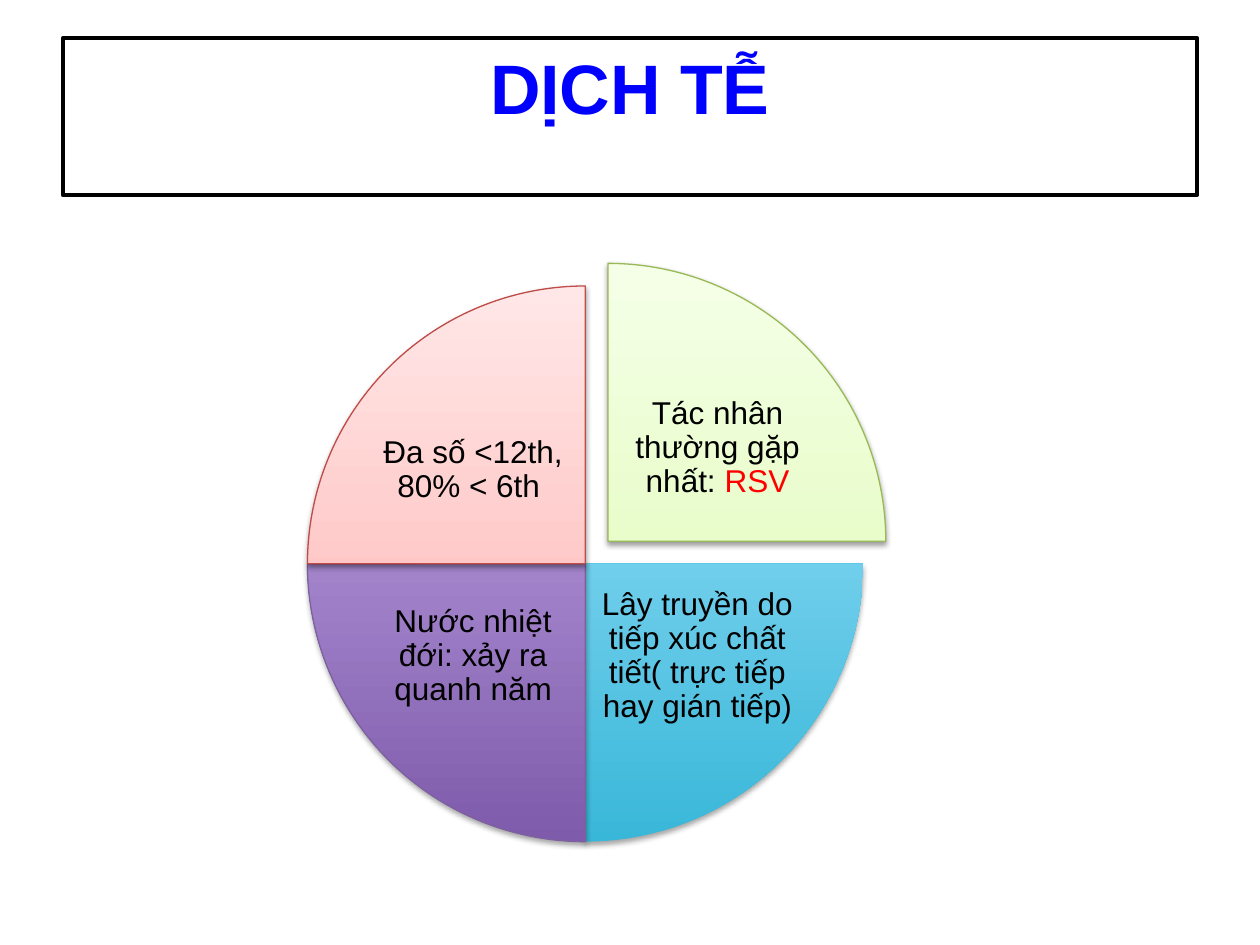
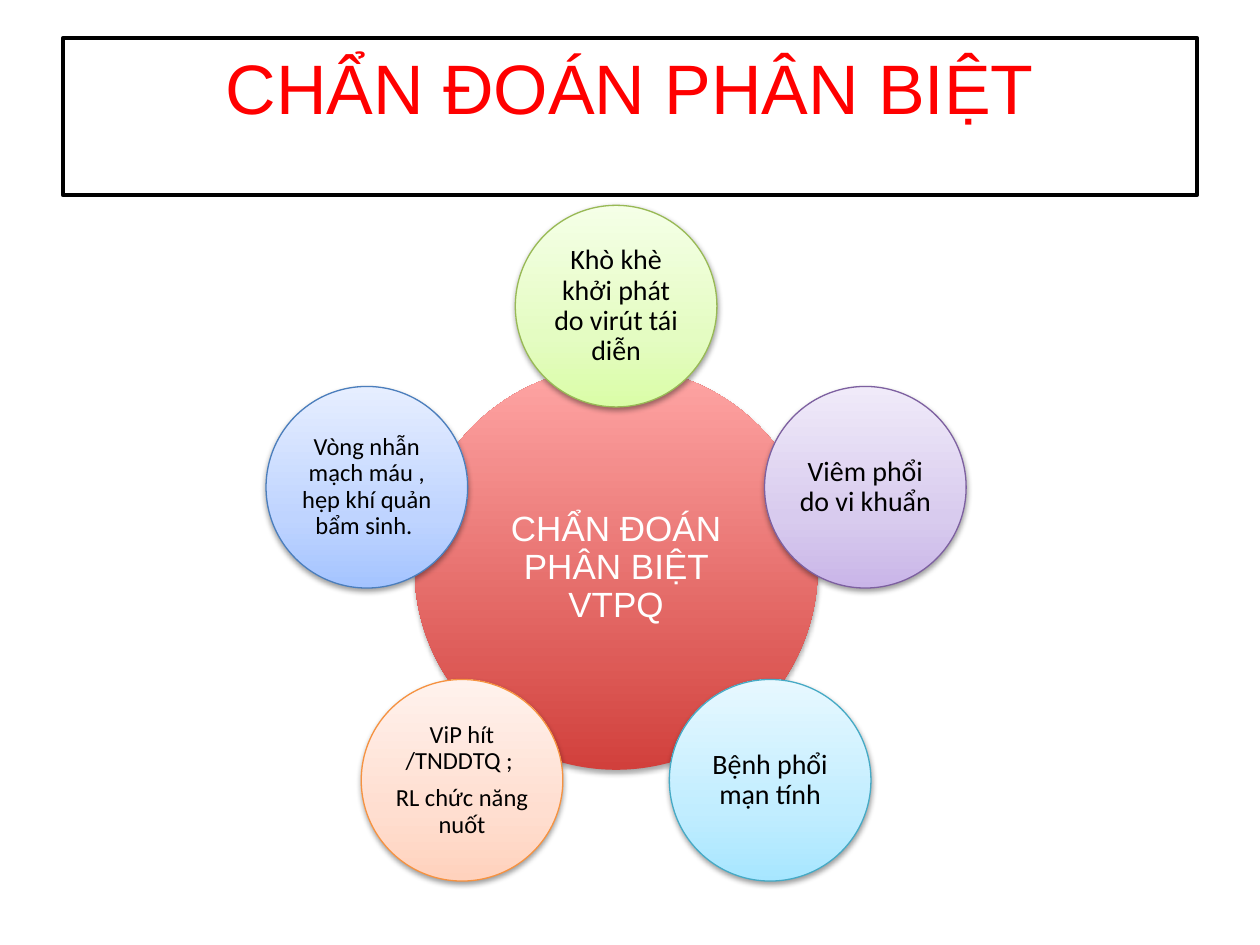
from dataclasses import dataclass
from math import cos, radians, sin
from typing import Any, Optional

from lxml.etree import SubElement
from pptx import Presentation
from pptx.dml.color import RGBColor as Rgb
from pptx.enum.shapes import MSO_SHAPE as Shape
from pptx.enum.text import MSO_ANCHOR as Anchor, MSO_AUTO_SIZE as AutoSize, PP_ALIGN as Align
from pptx.oxml.ns import qn
from pptx.util import Inches, Pt

BLACK = Rgb(0x00, 0x00, 0x00)
WHITE = Rgb(0xFF, 0xFF, 0xFF)
RED = Rgb(0xFF, 0x00, 0x00)
BLUE = Rgb(0x00, 0x00, 0xFF)
GREEN_EDGE = Rgb(0x98, 0xB9, 0x55)
PURPLE_EDGE = Rgb(0x7D, 0x60, 0xA0)
RED_EDGE = Rgb(0xBF, 0x4C, 0x48)
CYAN_EDGE = Rgb(0x46, 0xAA, 0xC5)
ORANGE_EDGE = Rgb(0xF6, 0x92, 0x40)
BLUE_EDGE = Rgb(0x4B, 0x7E, 0xBC)

Gradient = tuple[Rgb, ...]
SOFT_GREEN = (Rgb(0xDA, 0xFD, 0xA7), Rgb(0xE4, 0xFC, 0xC2), Rgb(0xF5, 0xFF, 0xE7))
SOFT_RED = (Rgb(0xFF, 0xA6, 0xA5), Rgb(0xFF, 0xC0, 0xBF), Rgb(0xFF, 0xE7, 0xE7))
SOFT_PURPLE = (Rgb(0xC9, 0xB5, 0xE8), Rgb(0xD8, 0xCB, 0xEE), Rgb(0xF0, 0xEA, 0xF9))
SOFT_CYAN = (Rgb(0xA7, 0xE6, 0xFF), Rgb(0xC1, 0xED, 0xFF), Rgb(0xE7, 0xF8, 0xFF))
SOFT_ORANGE = (Rgb(0xFF, 0xD2, 0xBD), Rgb(0xFF, 0xDE, 0xD0), Rgb(0xFF, 0xF2, 0xED))
SOFT_BLUE = (Rgb(0xA4, 0xC4, 0xFF), Rgb(0xBF, 0xD4, 0xFF), Rgb(0xE6, 0xEE, 0xFF))
STRONG_CYAN = (Rgb(0x39, 0xB7, 0xD8), Rgb(0xA7, 0xE6, 0xFF))
STRONG_PURPLE = (Rgb(0x7F, 0x5B, 0xAB), Rgb(0xC8, 0xB0, 0xED))
STRONG_RED = (Rgb(0xD1, 0x40, 0x3C), Rgb(0xFF, 0xA6, 0xA5))

TITLE_FORMAT = {"name": "Arial", "size": Pt(40)}
QUARTER_FORMAT = {"name": "Arial", "size": Pt(18)}
HUB_FORMAT = {"name": "Arial", "size": Pt(20)}

PIE_CENTER = (4.645, 4.475)
PIE_SIZE = 4.41
QUARTER_TURN = 54
HUB_CENTER = (4.89, 4.51)
HUB_SIZE = 3.2
SATELLITE_SIZE = 1.6
ORBIT = 2.08


@dataclass(frozen=True)
class Quarter:
    text: str
    gradient: Gradient
    edge: Optional[Rgb]
    label_at: tuple[float, float]
    pull: float = 0
    highlight: str = ""


@dataclass(frozen=True)
class Satellite:
    paragraphs: tuple[str, ...]
    gradient: Gradient
    edge: Rgb
    size: int = 16


QUARTERS = (
    Quarter("Tác nhân thường gặp nhất: ", SOFT_GREEN, GREEN_EDGE, (4.88, 2.9), 0.18, "RSV"),
    Quarter("Lây truyền do tiếp xúc chất tiết( trực tiếp hay gián tiếp)",
            STRONG_CYAN, None, (4.72, 4.55)),
    Quarter("Nước nhiệt đới: xảy ra quanh năm", STRONG_PURPLE, PURPLE_EDGE, (2.94, 4.55)),
    Quarter("Đa số <12th, 80% < 6th ", SOFT_RED, RED_EDGE, (2.94, 3.08)),
)

SATELLITES = (
    Satellite(("Khò khè khởi phát do virút tái diễn",), SOFT_GREEN, GREEN_EDGE),
    Satellite(("Viêm phổi do vi khuẩn",), SOFT_PURPLE, PURPLE_EDGE),
    Satellite(("Bệnh phổi mạn tính",), SOFT_CYAN, CYAN_EDGE),
    Satellite(("ViP hít /TNDDTQ ; ", "RL chức năng nuốt"), SOFT_ORANGE, ORANGE_EDGE, 14),
    Satellite(("Vòng nhẫn mạch máu , hẹp khí quản bẩm sinh. ",), SOFT_BLUE, BLUE_EDGE, 14),
)


def apply_format(target: Any, values: dict[str, Any]) -> None:
    for attribute, value in values.items():
        setattr(target, attribute, value)


def add_run(paragraph: Any, text: str, values: dict[str, Any], color: Rgb) -> None:
    run = paragraph.add_run()
    run.text = text
    apply_format(run.font, values)
    run.font.color.rgb = color


def add_titled_slide(deck: Any, text: str, color: Rgb, bold: bool = False) -> Any:
    slide = deck.slides.add_slide(deck.slide_layouts[5])
    title = slide.shapes.title
    apply_format(title, {"left": Inches(0.5), "top": Inches(0.3),
                         "width": Inches(9), "height": Inches(1.25)})
    title.line.color.rgb = BLACK
    title.line.width = Pt(2.25)
    apply_format(title.text_frame, {"vertical_anchor": Anchor.TOP, "word_wrap": True,
                                    "auto_size": AutoSize.NONE})
    heading = title.text_frame.paragraphs[0]
    heading.alignment = Align.CENTER
    add_run(heading, text, TITLE_FORMAT | {"bold": bold}, color)
    return slide


def prepare_frame(holder: Any, inset: float) -> Any:
    frame = holder.text_frame
    margins = {f"margin_{side}": Inches(inset) for side in ("left", "top", "right", "bottom")}
    apply_format(frame, margins | {"word_wrap": True, "vertical_anchor": Anchor.MIDDLE})
    return frame


def write_paragraphs(frame: Any, texts: tuple[str, ...], values: dict[str, Any],
                     color: Rgb) -> None:
    for index, text in enumerate(texts):
        paragraph = frame.add_paragraph() if index else frame.paragraphs[0]
        apply_format(paragraph, {"alignment": Align.CENTER, "line_spacing": 0.9})
        if index:
            paragraph.space_before = Pt(6)
        add_run(paragraph, text, values, color)


def add_glossy(slide: Any, preset: Any, center: tuple[float, float], size: float,
               gradient: Gradient, edge: Optional[Rgb]) -> Any:
    left, top = (Inches(middle - size / 2) for middle in center)
    shape = slide.shapes.add_shape(preset, left, top, Inches(size), Inches(size))
    shape.fill.gradient()
    shape.fill.gradient_angle = 90
    soft = len(gradient) == 3
    stops = shape.element.spPr.find(f".//{qn('a:gsLst')}")
    for stop in list(stops):
        stops.remove(stop)
    for position, color in zip((0, 35, 100) if soft else (0, 100), gradient):
        stop = SubElement(stops, qn("a:gs"), pos=str(position * 1000))
        SubElement(stop, qn("a:srgbClr"), val=str(color))
    if edge is None:
        shape.line.fill.background()
    else:
        shape.line.color.rgb = edge
        shape.line.width = Pt(0.75)
    shape.shadow.inherit = False
    effects = shape.element.spPr.find(qn("a:effectLst"))
    shadow = SubElement(effects, qn("a:outerShdw"), blurRad="40000",
                        dist="20000" if soft else "23000", dir="5400000", rotWithShape="0")
    shade = SubElement(shadow, qn("a:srgbClr"), val=str(BLACK))
    SubElement(shade, qn("a:alpha"), val="38000" if soft else "35000")
    return shape


def add_quarter(slide: Any, index: int, quarter: Quarter) -> None:
    center = (PIE_CENTER[0] + quarter.pull, PIE_CENTER[1] - quarter.pull)
    wedge = add_glossy(slide, Shape.PIE, center, PIE_SIZE, quarter.gradient, quarter.edge)
    wedge.adjustments[0] = QUARTER_TURN * ((index - 1) % 4)
    wedge.adjustments[1] = QUARTER_TURN * index
    left, top = map(Inches, quarter.label_at)
    label = slide.shapes.add_textbox(left, top, Inches(1.63), Inches(1.31))
    frame = prepare_frame(label, 0.03)
    write_paragraphs(frame, (quarter.text,), QUARTER_FORMAT, BLACK)
    if quarter.highlight:
        add_run(frame.paragraphs[0], quarter.highlight, QUARTER_FORMAT, RED)


def add_satellite(slide: Any, index: int, satellite: Satellite) -> None:
    angle = radians(360 / len(SATELLITES) * index)
    center = (HUB_CENTER[0] + ORBIT * sin(angle), HUB_CENTER[1] - ORBIT * cos(angle))
    circle = add_glossy(slide, Shape.OVAL, center, SATELLITE_SIZE,
                        satellite.gradient, satellite.edge)
    values = {"name": "Calibri", "size": Pt(satellite.size)}
    write_paragraphs(prepare_frame(circle, 0.02), satellite.paragraphs, values, BLACK)


def build_epidemiology(deck: Any) -> None:
    slide = add_titled_slide(deck, "DỊCH TỄ", BLUE, bold=True)
    for index, quarter in enumerate(QUARTERS):
        add_quarter(slide, index, quarter)


def build_differential_diagnosis(deck: Any) -> None:
    slide = add_titled_slide(deck, "CHẨN ĐOÁN PHÂN BIỆT", RED)
    hub = add_glossy(slide, Shape.OVAL, HUB_CENTER, HUB_SIZE, STRONG_RED, None)
    write_paragraphs(prepare_frame(hub, 0.03), ("CHẨN ĐOÁN PHÂN BIỆT VTPQ",), HUB_FORMAT, WHITE)
    for index, satellite in enumerate(SATELLITES):
        add_satellite(slide, index, satellite)


def main() -> None:
    deck = Presentation()
    deck.slide_width = Inches(10)
    deck.slide_height = Inches(7.5)
    build_epidemiology(deck)
    build_differential_diagnosis(deck)
    deck.save("out.pptx")


if __name__ == "__main__":
    main()
